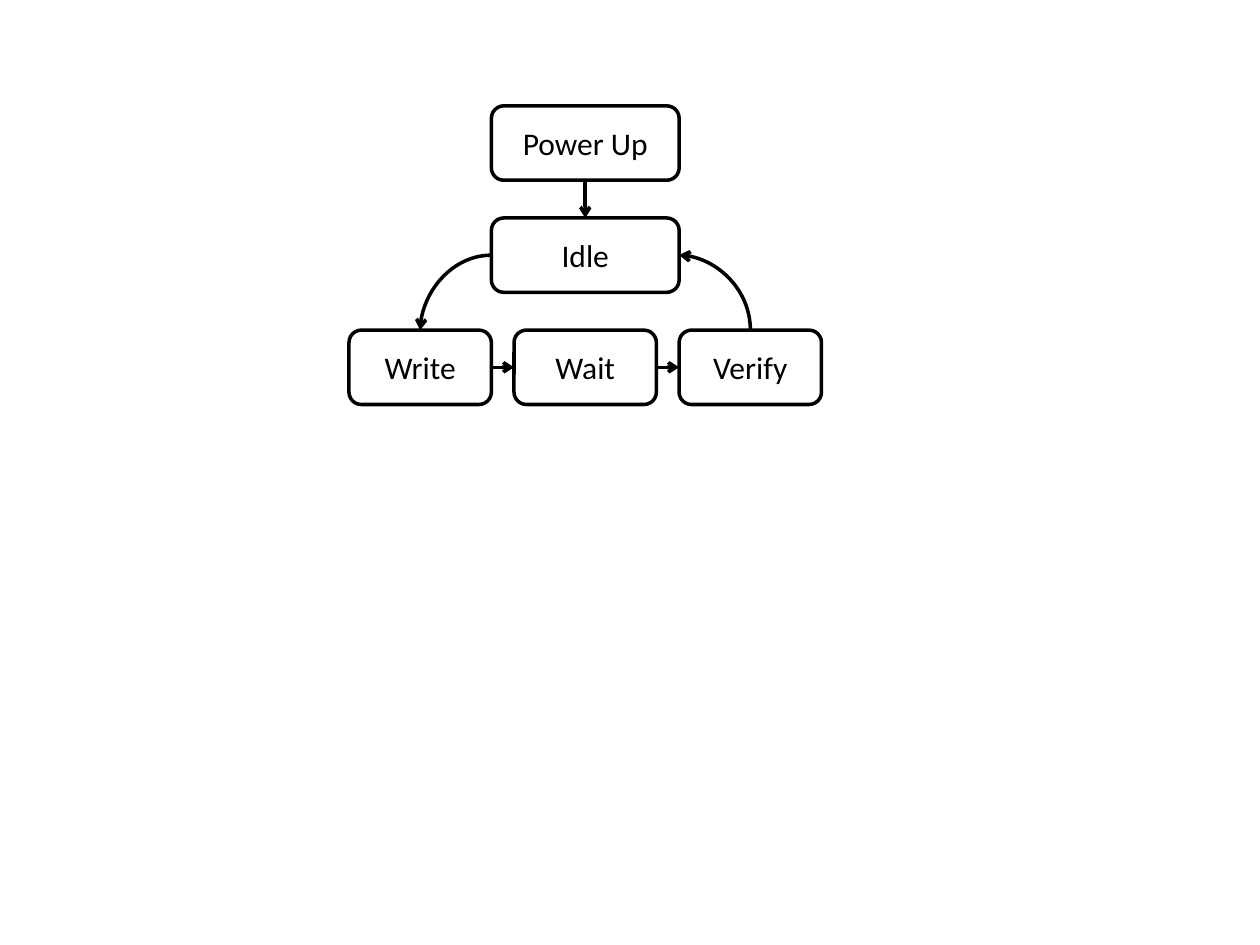
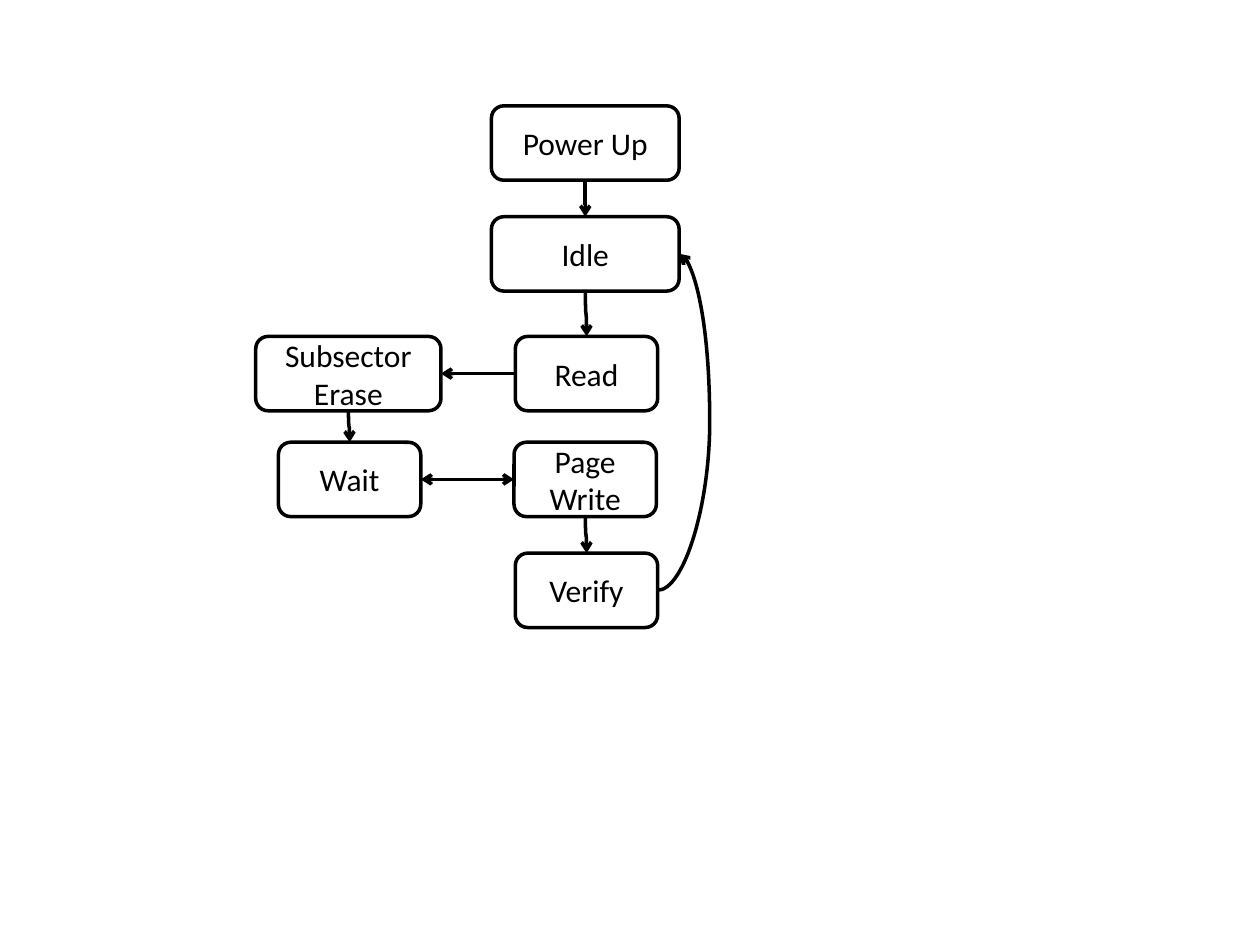
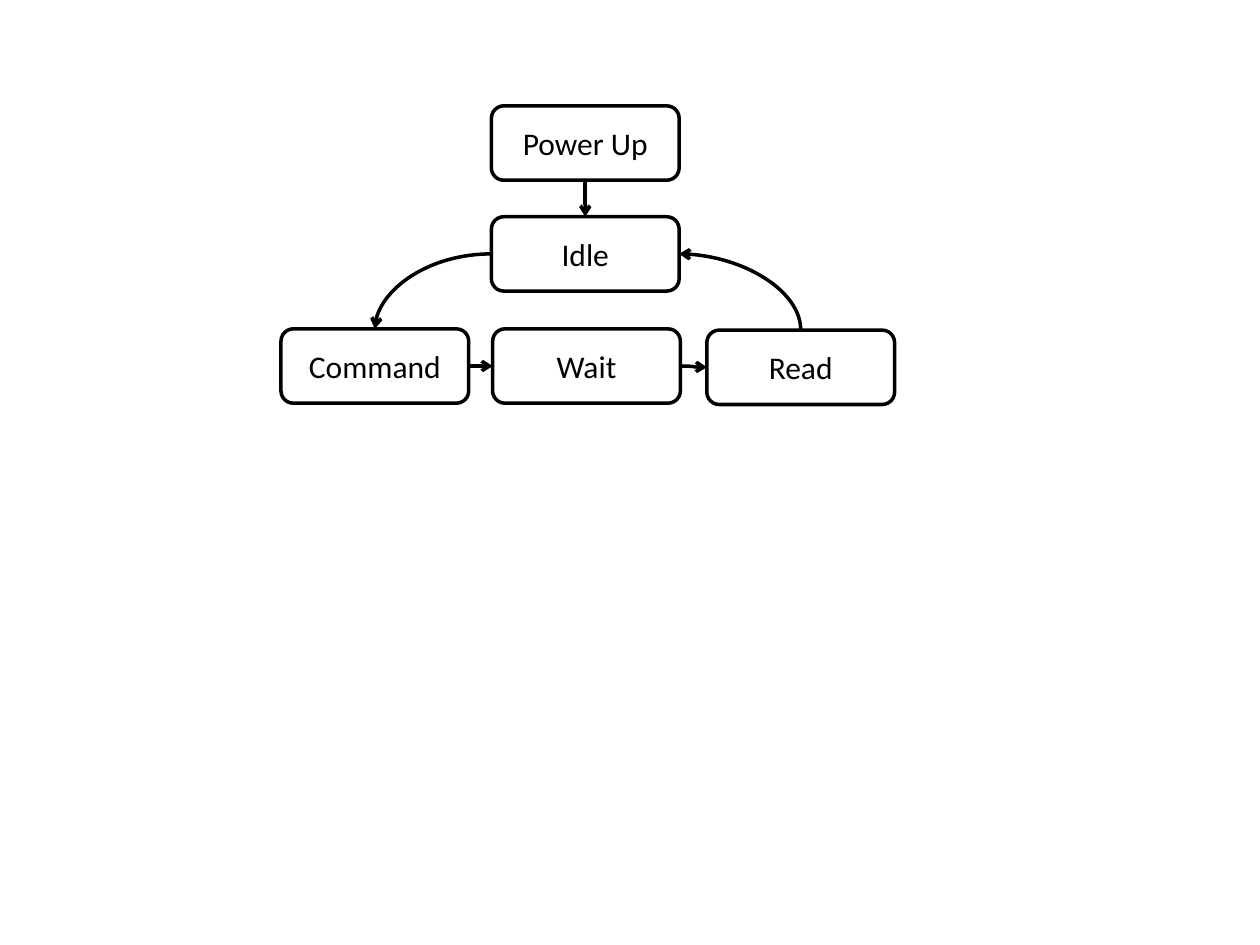
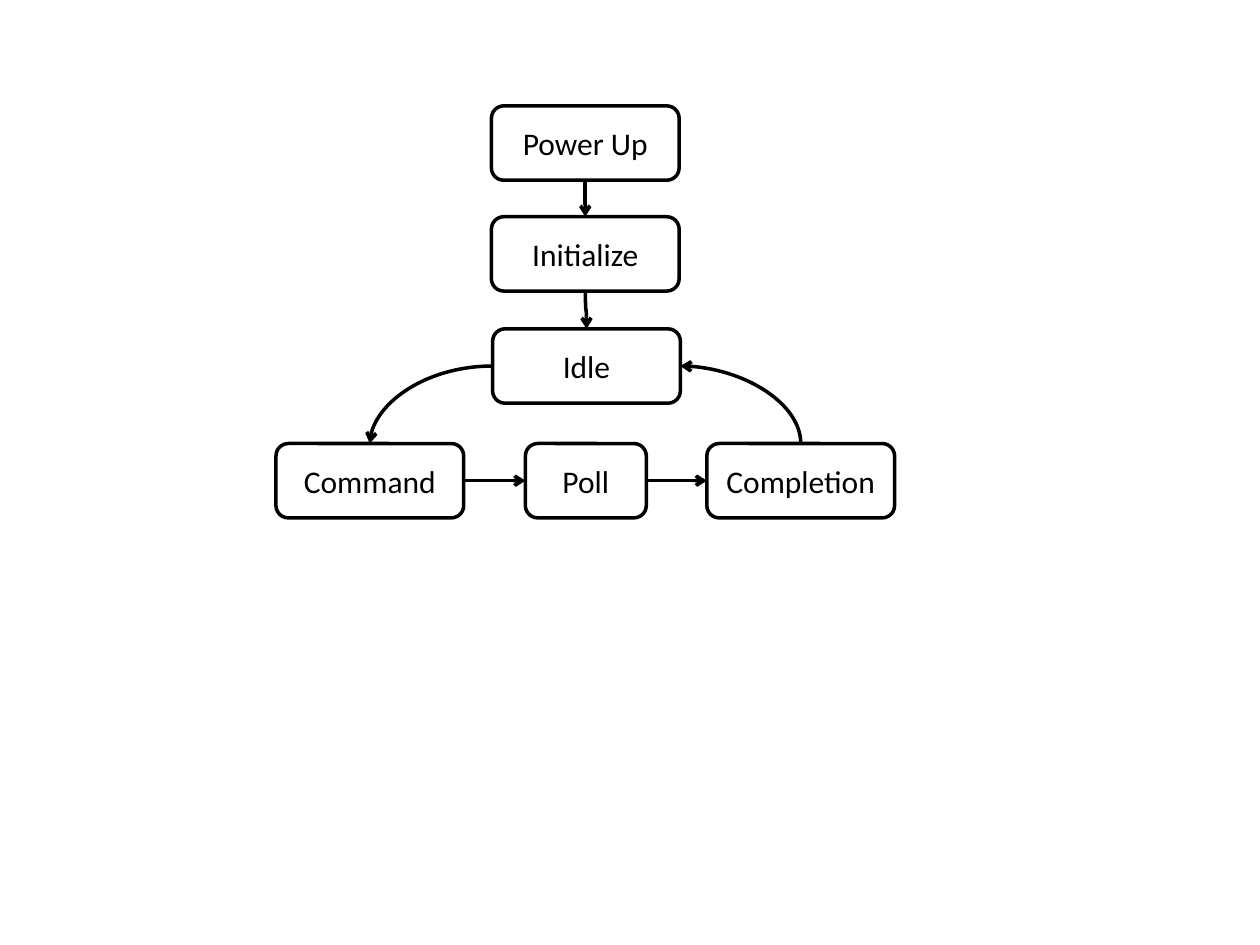
from dataclasses import dataclass
from enum import IntEnum

from pptx import Presentation
from pptx.dml.color import RGBColor
from pptx.enum.shapes import MSO_CONNECTOR as LINK, MSO_SHAPE as SHAPE
from pptx.enum.text import MSO_ANCHOR as ANCHOR, PP_ALIGN as ALIGN
from pptx.oxml.ns import qn
from pptx.oxml.xmlchemy import OxmlElement
from pptx.shapes.autoshape import Shape
from pptx.shapes.connector import Connector
from pptx.slide import Slide
from pptx.util import Inches, Pt


@dataclass(frozen=True)
class Theme:
    """Colours, type and measures shared by all diagrams."""
    ink: RGBColor = RGBColor(0, 0, 0)
    paper: RGBColor = RGBColor(255, 255, 255)
    font: str = "Calibri"
    size: int = 18
    line: float = 2
    wide: float = 1.49
    narrow: float = 1.13
    height: float = 0.59


THEME = Theme()


class Side(IntEnum):
    """Connection sites of a state box."""
    TOP = 0
    LEFT = 1
    BOTTOM = 2
    RIGHT = 3


TOP, LEFT, BOTTOM, RIGHT = Side


@dataclass(frozen=True)
class State:
    """A labelled box of the state machine, in inches."""
    label: str
    left: float
    top: float
    width: float = THEME.wide


@dataclass(frozen=True)
class Arrow:
    """A transition between sides of two states; bend shifts the curve's middle."""
    start: str
    leave: Side
    end: str
    enter: Side
    curved: bool = True
    both: bool = False
    bend: float = 0.5


@dataclass(frozen=True)
class Diagram:
    """The states and transitions of one slide."""
    states: list[State]
    arrows: list[Arrow]


def assign(target: object, values: dict[str, object]) -> None:
    """Set each named attribute of target."""
    for name, value in values.items():
        setattr(target, name, value)


def draw_state(slide: Slide, state: State) -> Shape:
    """Draw one rounded state box with its label."""
    sp = slide.shapes.add_shape(
        SHAPE.FLOWCHART_ALTERNATE_PROCESS, Inches(state.left), Inches(state.top),
        Inches(state.width), Inches(THEME.height))
    sp.shadow.inherit = False
    sp.fill.solid()
    sp.fill.fore_color.rgb = THEME.paper
    sp.line.color.rgb = THEME.ink
    sp.line.width = Pt(THEME.line)
    tf = sp.text_frame
    assign(tf, {"word_wrap": True, "vertical_anchor": ANCHOR.MIDDLE})
    p = tf.paragraphs[0]
    p.alignment = ALIGN.CENTER
    r = p.add_run()
    r.text = state.label
    assign(r.font, {"name": THEME.font, "size": Pt(THEME.size)})
    r.font.color.rgb = THEME.ink
    return sp


def turn_upright(cn: Connector) -> None:
    """Rotate a curve a quarter turn so that it leaves its state vertically."""
    x, y = cn.begin_x, cn.begin_y
    dx, dy = cn.end_x - x, cn.end_y - y
    width, height = abs(dy), abs(dx)
    assign(cn, {"left": x + (dx - width) // 2, "top": y + (dy - height) // 2,
                "width": width, "height": height})
    xfrm = cn._element.spPr.find(qn("a:xfrm"))
    for name, value in {"rot": 270 * 60000, "flipH": int(dy > 0),
                        "flipV": int(dx < 0)}.items():
        xfrm.set(name, str(value))


def shape_curve(cn: Connector, arrow: Arrow) -> None:
    """Give a curve its preset, bend and direction."""
    upright = arrow.leave in (TOP, BOTTOM)
    geom = cn._element.spPr.find(qn("a:prstGeom"))
    if upright != (arrow.enter in (TOP, BOTTOM)):
        geom.set("prst", "curvedConnector2")
    elif arrow.bend != 0.5:
        guide = OxmlElement("a:gd")
        guide.set("name", "adj1")
        guide.set("fmla", f"val {round(arrow.bend * 100000)}")
        geom.get_or_add_avLst().append(guide)
    if upright:
        turn_upright(cn)


def draw_arrow(slide: Slide, arrow: Arrow, boxes: dict[str, Shape]) -> None:
    """Draw one transition glued to its two states."""
    kind = LINK.CURVE if arrow.curved else LINK.STRAIGHT
    cn = slide.shapes.add_connector(kind, 0, 0, 0, 0)
    cn.begin_connect(boxes[arrow.start], arrow.leave)
    cn.end_connect(boxes[arrow.end], arrow.enter)
    if arrow.curved:
        shape_curve(cn, arrow)
    cn.line.color.rgb = THEME.ink
    cn.line.width = Pt(THEME.line)
    for tag in ("a:headEnd", "a:tailEnd") if arrow.both else ("a:tailEnd",):
        tip = OxmlElement(tag)
        tip.set("type", "arrow")
        cn.line._get_or_add_ln().append(tip)
    cn._element.spPr.append(OxmlElement("a:effectLst"))


def draw_diagram(slide: Slide, diagram: Diagram) -> None:
    """Draw the common first state, then the rest of the diagram."""
    states = [State("Power Up", 3.9, 0.84), *diagram.states]
    boxes = {s.label: draw_state(slide, s) for s in states}
    power_up = Arrow("Power Up", BOTTOM, diagram.states[0].label, TOP, curved=False)
    for arrow in [power_up, *diagram.arrows]:
        draw_arrow(slide, arrow, boxes)


def cycle(first: str, middle: str, last: str, curved: bool = True) -> list[Arrow]:
    """Return the loop from Idle through a row of three states and back."""
    return [
        Arrow("Idle", LEFT, first, TOP),
        Arrow(first, RIGHT, middle, LEFT, curved),
        Arrow(middle, RIGHT, last, LEFT, curved),
        Arrow(last, TOP, "Idle", RIGHT),
    ]


DIAGRAMS = [
    Diagram(
        [State("Idle", 3.9, 1.73)]
        + [State(label, 2.77 + i * 1.31, 2.62, THEME.narrow)
           for i, label in enumerate(("Write", "Wait", "Verify"))],
        cycle("Write", "Wait", "Verify", curved=False)),
    Diagram(
        [State("Idle", 3.9, 1.72),
         State("Subsector Erase", 2.03, 2.67, 1.47),
         State("Read", 4.09, 2.67, THEME.narrow),
         State("Wait", 2.21, 3.51, THEME.narrow),
         State("Page Write", 4.08, 3.51, THEME.narrow),
         State("Verify", 4.09, 4.39, THEME.narrow)],
        [Arrow("Idle", BOTTOM, "Read", TOP),
         Arrow("Read", LEFT, "Subsector Erase", RIGHT),
         Arrow("Subsector Erase", BOTTOM, "Wait", TOP),
         Arrow("Wait", RIGHT, "Page Write", LEFT, curved=False, both=True),
         Arrow("Page Write", BOTTOM, "Verify", TOP),
         Arrow("Verify", RIGHT, "Idle", RIGHT, bend=2.43)]),
    Diagram(
        [State("Idle", 3.9, 1.72),
         State("Command", 2.23, 2.61),
         State("Wait", 3.91, 2.61),
         State("Read", 5.61, 2.62)],
        cycle("Command", "Wait", "Read")),
    Diagram(
        [State("Initialize", 3.9, 1.72),
         State("Idle", 3.91, 2.61),
         State("Command", 2.19, 3.52),
         State("Poll", 4.17, 3.52, 0.96),
         State("Completion", 5.61, 3.52)],
        [Arrow("Initialize", BOTTOM, "Idle", TOP),
         *cycle("Command", "Poll", "Completion")]),
]


def main() -> None:
    """Build and save the presentation."""
    prs = Presentation()
    assign(prs, {"slide_width": Inches(10), "slide_height": Inches(7.5)})
    for diagram in DIAGRAMS:
        draw_diagram(prs.slides.add_slide(prs.slide_layouts[6]), diagram)
    prs.save("out.pptx")


main()
